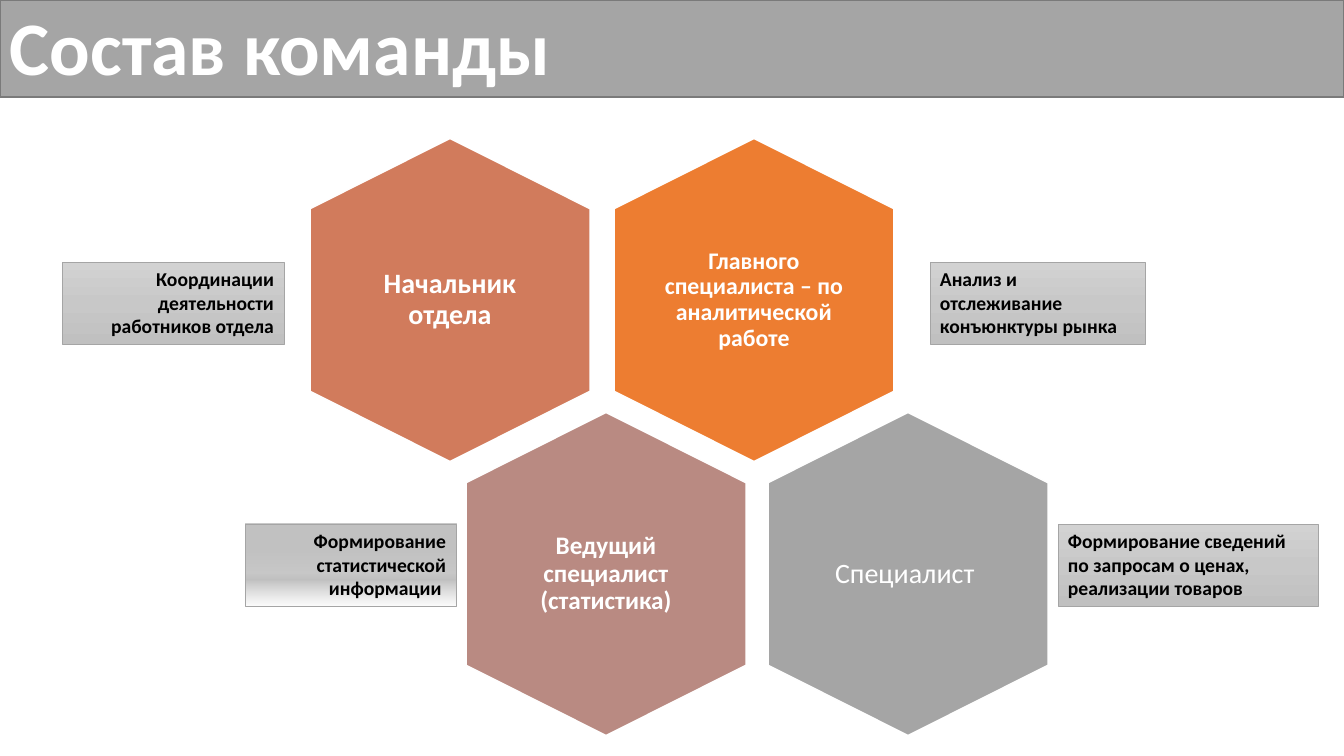
from lxml import etree
from pptx import Presentation
from pptx import util as u
from pptx.dml.color import RGBColor
from pptx.enum import shapes, text
from pptx.oxml.ns import qn

PX = 9071.43  # EMU per pixel, 100.8 pixels to the inch
FONT = "Calibri"
COLORS = {
    "white": "FFFFFF",
    "black": "000000",
    "bar": "A5A5A5",
    "bar_line": "7A7A7A",
    "label_line": "A5A5A5",
    "chief": "D17B5C",
    "analyst": "ED7D31",
    "leading": "B98A82",
    "specialist": "A5A5A5",
}
# Gradient stops: position %, colour, opacity %
GREY_STOPS = [(0, "D2D2D2", 100), (50, "C8C8C8", 100), (100, "C0C0C0", 100)]
FADING_STOPS = [(34, "C2C2C2", 100), (60, "C8C8C8", 100),
                (68, "C0C0C0", 100), (100, "D2D2D2", 9)]

HEX_LENGTH, HEX_WIDTH = 323, 281
HEX_TEXT_WIDTH, HEX_TEXT_HEIGHT = 194, 223
LABEL_HEIGHT = 82
ROW_CENTERS = (300, 574)
LABEL_TOPS = (262, 524)

# Row, centre x, colour, text, size, bold, inset
ROLES = [
    (0, 754, "analyst", "Главного специалиста – по аналитической работе", 17, True, 7),
    (0, 450, "chief", "Начальник отдела", 20, True, 0),
    (1, 606, "leading", "Ведущий специалист (статистика)", 18, True, 7),
    (1, 908, "specialist", "Специалист ", 20, False, 0),
]
# Row, left, width, alignment, stops, text
DUTIES = [
    (0, 62, 222, text.PP_ALIGN.RIGHT, GREY_STOPS,
     "Координации деятельности работников отдела"),
    (0, 930, 215, text.PP_ALIGN.LEFT, GREY_STOPS,
     "Анализ и отслеживание конъюнктуры рынка"),
    (1, 245, 211, text.PP_ALIGN.RIGHT, FADING_STOPS,
     "Формирование статистической информации "),
    (1, 1058, 260, text.PP_ALIGN.LEFT, GREY_STOPS,
     "Формирование сведений по запросам о ценах, реализации товаров"),
]


def px(*lengths):
    return [u.Emu(round(length * PX)) for length in lengths]


def rgb(name):
    return RGBColor.from_string(COLORS[name])


def add_preset(slide, kind, box, line, line_width, fill=None):
    shape = slide.shapes.add_shape(kind, *px(*box))
    shape.shadow.inherit = False
    if fill:
        shape.fill.solid()
        shape.fill.fore_color.rgb = rgb(fill)
    shape.line.color.rgb = rgb(line)
    shape.line.width = u.Pt(line_width)
    return shape


def write(shape, wording, size, color, bold, align, anchor, spacing=None):
    frame = shape.text_frame
    frame.text = wording
    frame.word_wrap = True
    frame.vertical_anchor = anchor
    paragraph = frame.paragraphs[0]
    paragraph.alignment = align
    paragraph.line_spacing = spacing
    font = paragraph.runs[0].font
    font.name, font.size, font.bold = FONT, u.Pt(size), bold
    font.color.rgb = rgb(color)


def fill_gradient(shape, stops):
    shape.fill.gradient()
    shape.fill.gradient_angle = 270  # top to bottom
    stop_list = shape.element.xpath(".//a:gsLst")[0]
    for old_stop in list(stop_list):
        stop_list.remove(old_stop)
    for position, color, opacity in stops:
        stop = etree.SubElement(stop_list, qn("a:gs"), pos=str(position * 1000))
        tint = etree.SubElement(stop, qn("a:srgbClr"), val=color)
        if opacity < 100:
            etree.SubElement(tint, qn("a:alpha"), val=str(opacity * 1000))


def add_title_bar(slide, wording):
    bar = add_preset(slide, shapes.MSO_SHAPE.RECTANGLE, (0, 0, 1344, 97),
                     "bar_line", 1, "bar")
    write(bar, wording, 54, "white", True, text.PP_ALIGN.LEFT,
          text.MSO_ANCHOR.BOTTOM, 0.9)


def add_role(slide, row, center_x, color, wording, size, bold, inset):
    center_y = ROW_CENTERS[row]
    hexagon = add_preset(
        slide, shapes.MSO_SHAPE.HEXAGON,
        (center_x - HEX_LENGTH / 2, center_y - HEX_WIDTH / 2, HEX_LENGTH, HEX_WIDTH),
        "white", 1, color)
    hexagon.adjustments[0] = 0.25
    hexagon.adjustments[1] = 1.15
    hexagon.rotation = 90
    # Upright text over the turned hexagon
    box = slide.shapes.add_textbox(*px(
        center_x - HEX_TEXT_WIDTH / 2, center_y - HEX_TEXT_HEIGHT / 2,
        HEX_TEXT_WIDTH, HEX_TEXT_HEIGHT))
    frame = box.text_frame
    (frame.margin_left, frame.margin_top,
     frame.margin_right, frame.margin_bottom) = px(*[inset] * 4)
    write(box, wording, size, "white", bold, text.PP_ALIGN.CENTER,
          text.MSO_ANCHOR.MIDDLE, 0.9)


def add_duty(slide, row, left, width, align, stops, wording):
    label = add_preset(slide, shapes.MSO_SHAPE.RECTANGLE,
                       (left, LABEL_TOPS[row], width, LABEL_HEIGHT),
                       "label_line", 0.5)
    fill_gradient(label, stops)
    write(label, wording, 14, "black", True, align, text.MSO_ANCHOR.TOP)
    label.text_frame.auto_size = text.MSO_AUTO_SIZE.SHAPE_TO_FIT_TEXT


def main():
    presentation = Presentation()
    presentation.slide_width, presentation.slide_height = px(1344, 756)
    slide = presentation.slides.add_slide(presentation.slide_layouts[6])

    # Title
    add_title_bar(slide, "Состав команды")
    # Team roles
    for role in ROLES:
        add_role(slide, *role)
    # Duties beside the roles
    for duty in DUTIES:
        add_duty(slide, *duty)

    presentation.save("out.pptx")


if __name__ == "__main__":
    main()
